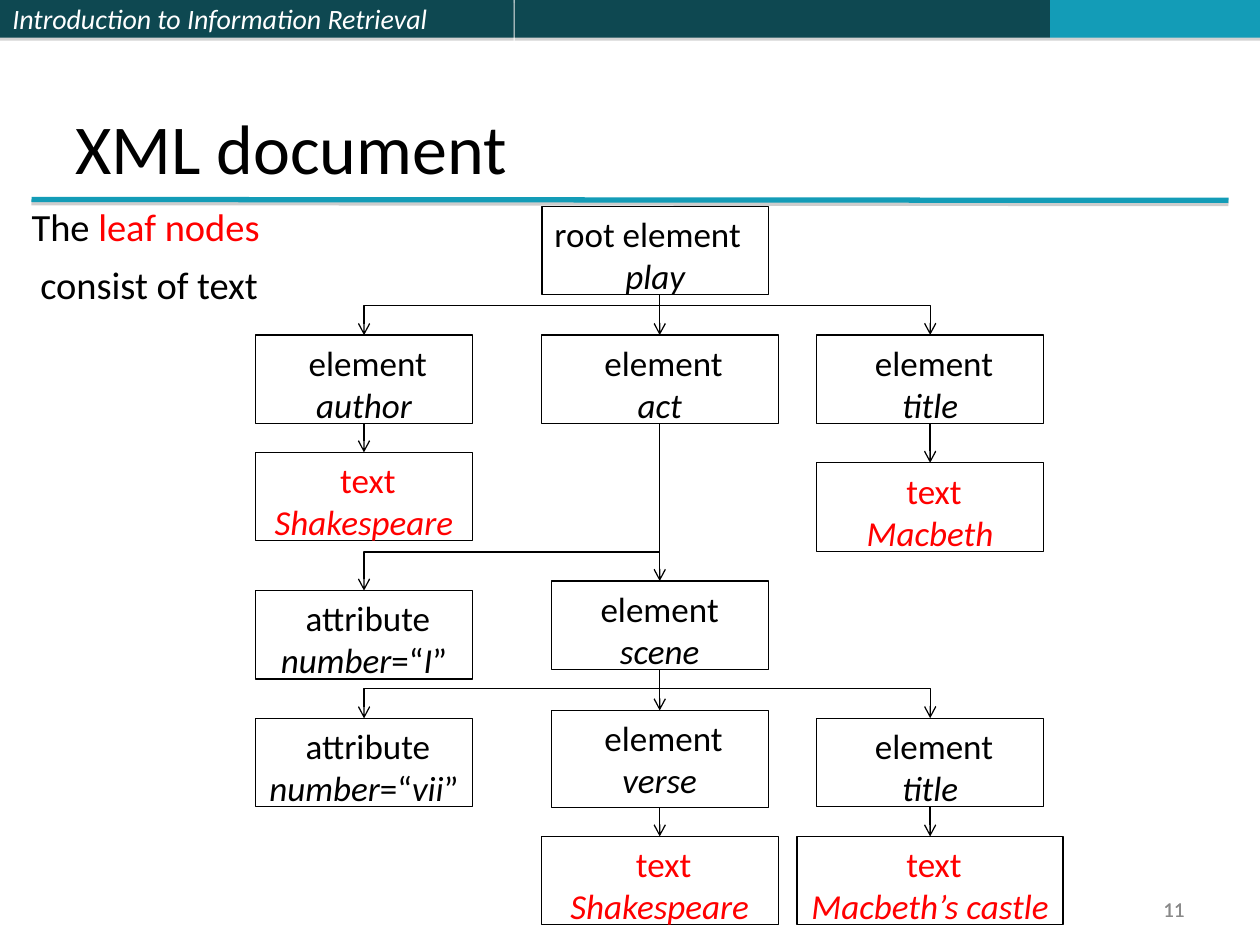
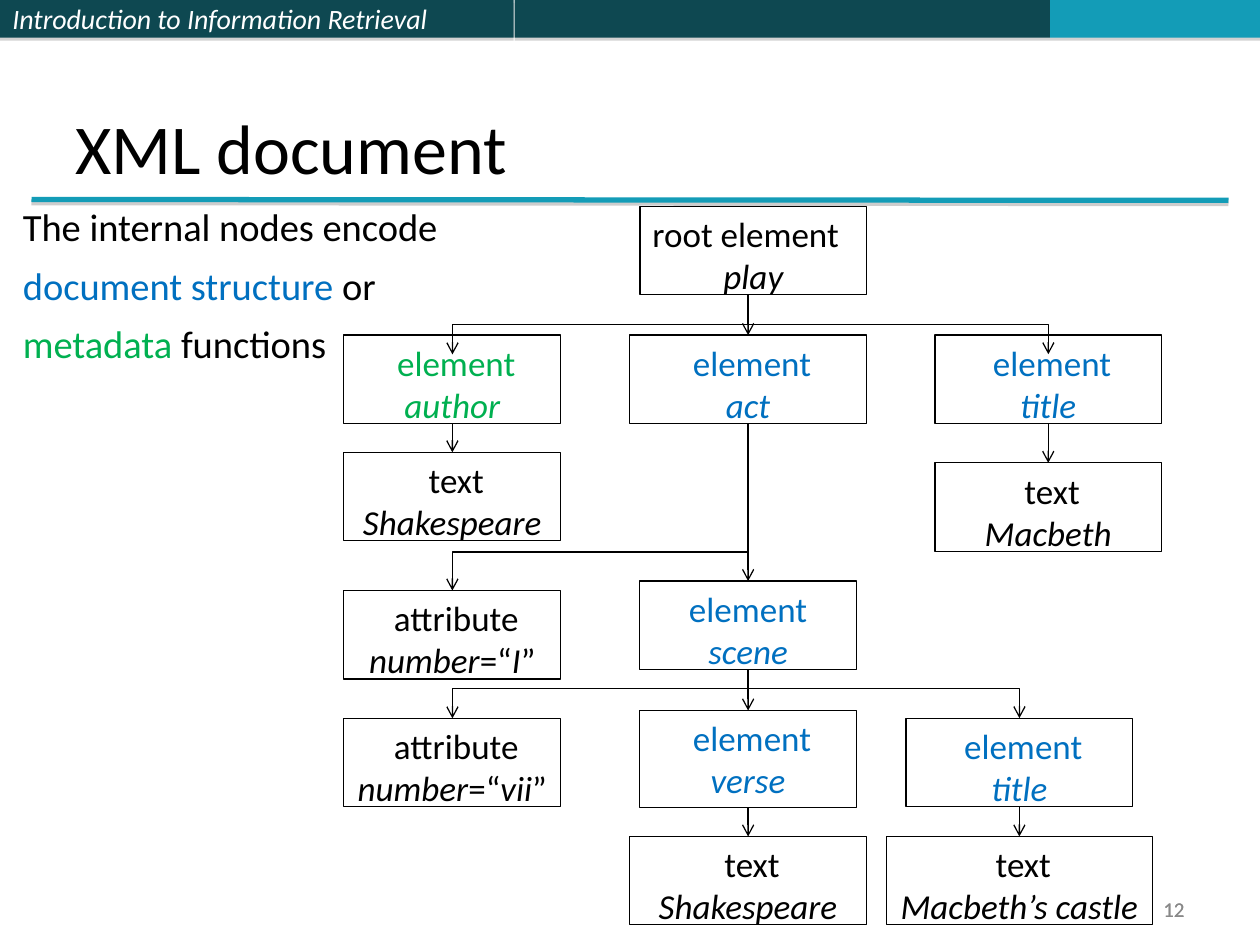
"""Build two slides that show an XML document as a tree."""
from lxml.etree import SubElement as Sub
from pptx import Presentation
from pptx.dml.color import RGBColor
from pptx.enum.shapes import MSO_CONNECTOR as Conn, MSO_SHAPE as Shape
from pptx.enum.text import MSO_ANCHOR as Anchor, PP_ALIGN as Align
from pptx.oxml.ns import qn
from pptx.util import Pt

BLACK, WHITE, RED = "000000", "FFFFFF", "FF0000"
BLUE, GREEN, GREY = "0070C0", "00B050", "898989"
DARK, TEAL, SHADE = "0E4851", "139CB7", "808080"

COURSE = "Introduction to Information Retrieval"
BANDS = [(0, 293.5, DARK, COURSE), (294, 306, DARK, ""), (600, 120, TEAL, "")]

# column, top, width, height, label, name with italic parts at even places
NODES = [
    ("root", 118, 129.5, 50.5, "root element", "play"),
    ("left", 191.5, 124, 50.5, " element", "author"),
    ("mid", 191.5, 135.5, 50.5, " element", "act"),
    ("right", 191.5, 129.5, 50.5, " element", "title"),
    ("mid", 406, 124, 55.5, " element", "verse"),
    ("left", 258.5, 124, 50.5, " text", "Shakespeare"),
    ("right", 264.5, 129.5, 50.5, " text", "Macbeth"),
    ("left", 337.5, 124, 50.5, " attribute", "number|=“|I|”"),
    ("mid", 332, 124, 50.5, "element", "scene"),
    ("mid", 478, 135.5, 50.5, " text", "Shakespeare"),
    ("left", 410.5, 124, 50.5, " attribute", "number|=“|vii|”"),
    ("low", 410.5, 129.5, 50.5, " element", "title"),
    ("low", 478, 152, 50.5, " text", "Macbeth’s castle"),
]
ARROWS = [("right", 242, 264.5), ("left", 242, 258.5), ("mid", 382.5, 406),
          ("mid", 461.5, 478), ("mid", 242, 332), ("low", 461, 478),
          ("mid", 168.5, 191.5)]
SLIDES = [
    {"page": "11", "note": (11, 169),
     "lines": [[("The ", BLACK), ("leaf nodes", RED)],
               [(" consist of text", BLACK)]],
     "cols": {"root": 374.5, "left": 208, "mid": 377, "right": 531.5, "low": 531.5},
     "hues": {"text": RED}, "fork": 191.5},
    {"page": "12", "note": (6, 293),
     "lines": [[("The internal nodes encode", BLACK)],
               [("document structure ", BLUE), ("or", BLACK)],
               [("metadata ", GREEN), ("functions", BLACK)]],
     "cols": {"root": 430.5, "left": 258.5, "mid": 427.5, "right": 599, "low": 582.5},
     "hues": {"element": BLUE, "author": GREEN}, "fork": 202.5},
]
RISE, THIN = 18, 0.12


def rgb(hue):
    return RGBColor.from_string(hue)


def shade(item, alpha):
    fx = Sub(item._element.spPr, qn("a:effectLst"))
    cast = Sub(fx, qn("a:outerShdw"), dist="22860", dir="5400000", rotWithShape="0")
    Sub(Sub(cast, qn("a:srgbClr"), val=SHADE), qn("a:alpha"), val=str(alpha * 1000))


def write(item, rows, gap=0, **form):
    frame = item.text_frame
    look = {"word_wrap": True, "vertical_anchor": form.pop("anchor", Anchor.TOP)}
    for key, val in look.items():
        setattr(frame, key, val)
    for n, (align, runs) in enumerate(rows):
        para = frame.add_paragraph() if n else frame.paragraphs[0]
        para.alignment = align
        if n and gap:
            para.space_before = Pt(gap)
        for text, hue, slant in runs:
            run = para.add_run()
            run.text = text
            for key, val in {"name": "Calibri", "italic": slant, **form}.items():
                setattr(run.font, key, val)
            run.font.color.rgb = rgb(hue)


def rect(slide, x, y, w, h, fill, edge=None):
    item = slide.shapes.add_shape(Shape.RECTANGLE, Pt(x), Pt(y), Pt(w), Pt(h))
    item.fill.solid()
    item.fill.fore_color.rgb = rgb(fill)
    if edge:
        item.shadow.inherit = False
        item.line.color.rgb = rgb(edge)
        item.line.width = Pt(0.75)
    else:
        item.line.fill.background()
    return item


def label(slide, x, y, w, h, rows, **form):
    box = slide.shapes.add_textbox(Pt(x), Pt(y), Pt(w), Pt(h))
    write(box, rows, **form)


def link(slide, kind, ends, hue=BLACK, width=0.75, tips=("tailEnd",)):
    wire = slide.shapes.add_connector(kind, *map(Pt, ends))
    wire.line.color.rgb = rgb(hue)
    wire.line.width = Pt(width)
    for tip in tips:
        Sub(wire.line._get_or_add_ln(), qn("a:" + tip), type="arrow")
    if hue == BLACK:
        Sub(wire._element.spPr, qn("a:effectLst"))
    return wire


def turn(wire, angle):
    wire._element.spPr.find(qn("a:xfrm")).set("rot", str(angle * 60000))
    return wire._element.spPr.find(qn("a:prstGeom"))


def fork(slide, x1, x2, y):
    mid, half = (x1 + x2) / 2, (x2 - x1) / 2
    ends = (mid + THIN, y + half, mid, y - half)
    wire = link(slide, Conn.ELBOW, ends, tips=("headEnd", "tailEnd"))
    bend = turn(wire, 90).find(qn("a:avLst"))
    Sub(bend, qn("a:gd"), name="adj1", fmla=f"val {round(RISE / THIN * 100000)}")


def branch(slide, x1, x2, y1, y2):
    wire = link(slide, Conn.ELBOW, (x1, y2, x2, y1))
    turn(wire, 180).set("prst", "bentConnector2")


def frame(slide, page):
    for x, w, hue, text in BANDS:
        band = rect(slide, x, 0, w, 21.5, hue)
        shade(band, 35)
        if text:
            write(band, [(Align.LEFT, [(text, WHITE, True)])],
                  size=Pt(16), anchor=Anchor.MIDDLE)
    rule = link(slide, Conn.STRAIGHT, (18, 114, 702, 114.5), TEAL, 3, ())
    shade(rule, 38)
    label(slide, 36, 1, 648, 110, [(Align.LEFT, [("XML document", BLACK, False)])],
          size=Pt(40), anchor=Anchor.BOTTOM)
    for y, h in ((510, 19), (508.5, 21.5)):
        label(slide, 516, y, 168, h, [(Align.RIGHT, [(page, GREY, False)])],
              size=Pt(12), anchor=Anchor.MIDDLE)


def tree(slide, cols, hues, top):
    for col, y, w, h, kind, name in NODES:
        hue = hues.get(name, hues.get(kind.strip(), BLACK))
        parts = [(bit, hue, n % 2 == 0) for n, bit in enumerate(name.split("|"))]
        side = Align.LEFT if col == "root" else Align.CENTER
        box = rect(slide, cols[col] - w / 2, y, w, h, WHITE, BLACK)
        write(box, [(side, [(kind, hue, False)]), (Align.CENTER, parts)], size=Pt(20))
    for col, y1, y2 in ARROWS:
        link(slide, Conn.STRAIGHT, (cols[col], y1, cols[col], y2))
    fork(slide, cols["left"], cols["right"], top)
    branch(slide, cols["left"], cols["mid"], 315.5, 337.5)
    fork(slide, cols["left"], cols["low"], 410.5)


def main():
    deck = Presentation()
    deck.slide_width, deck.slide_height = Pt(720), Pt(540)
    for data in SLIDES:
        slide = deck.slides.add_slide(deck.slide_layouts[6])
        frame(slide, data["page"])
        x, w = data["note"]
        rows = [(Align.LEFT, [(*bit, False) for bit in line]) for line in data["lines"]]
        label(slide, x, 112.5, w, 29 * len(rows), rows, gap=7, size=Pt(22))
        tree(slide, data["cols"], data["hues"], data["fork"])
    deck.save("out.pptx")


if __name__ == "__main__":
    main()
